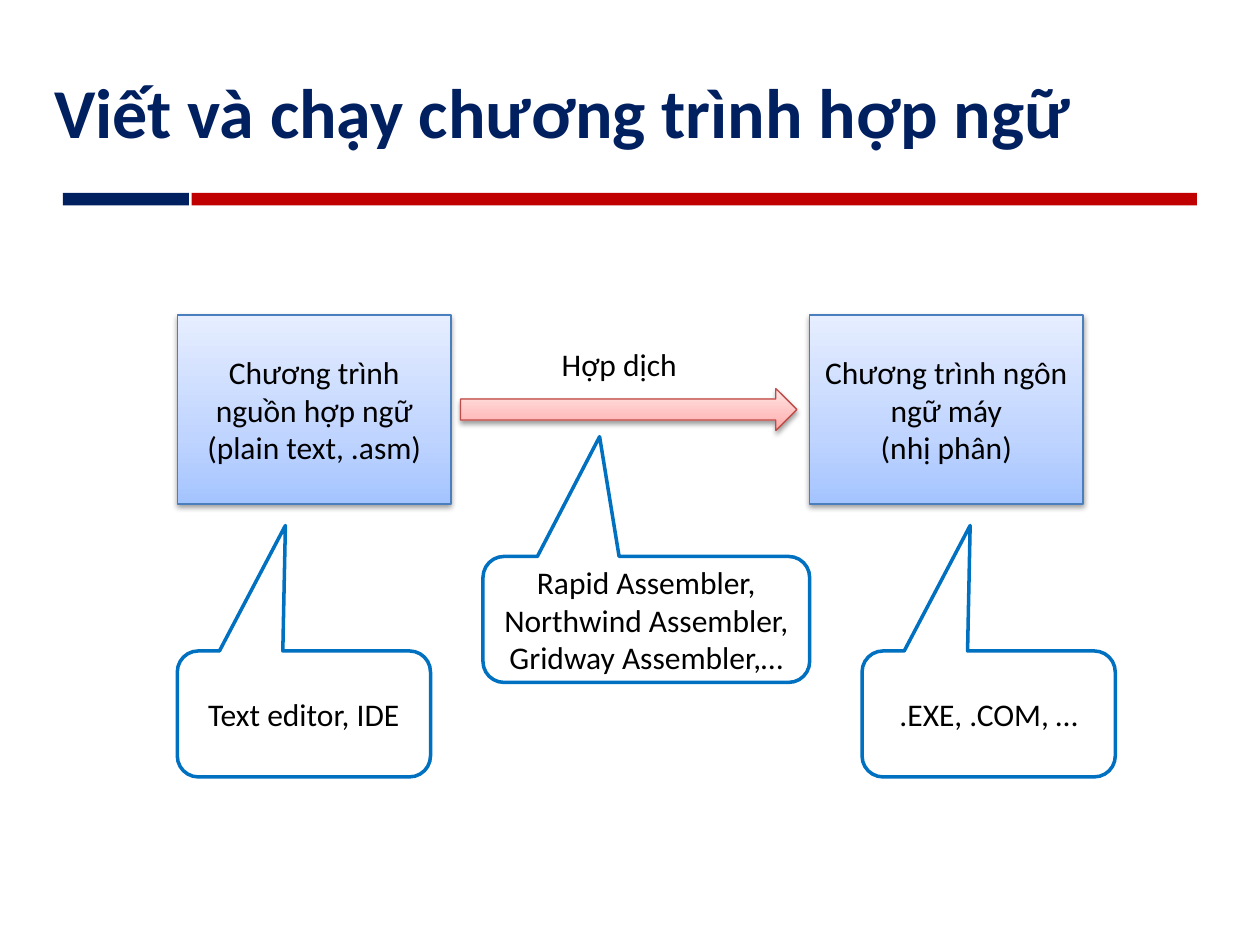
from copy import deepcopy
from typing import NamedTuple

from lxml.etree import SubElement
from pptx import Presentation
from pptx.dml.color import RGBColor
from pptx.enum.shapes import MSO_SHAPE as Preset
from pptx.enum.text import MSO_ANCHOR as Anchor, PP_ALIGN as Align
from pptx.oxml.ns import qn
from pptx.util import Pt

FONT = "Calibri"
COLORS = {
    "navy": "002060",
    "red": "C00000",
    "text": "000000",
    "white": "FFFFFF",
    "box_line": "4B7EBC",
    "arrow_line": "BF4C48",
    "callout_line": "0070C0",
}
GRADIENTS = {
    "blue": ("A4C4FF", "BFD4FF", "E6EEFF"),
    "pink": ("FFA6A5", "FFC0BF", "FFE7E7"),
}
GRADIENT_POSITIONS = (0, 0.35, 1)


class Frame(NamedTuple):
    left: float
    top: float
    width: float
    height: float


class Box(NamedTuple):
    left: float
    lines: tuple[str, ...]


class Callout(NamedTuple):
    frame: Frame
    tip: tuple[float, float]
    lines: tuple[str, ...]


RULE_TOP, RULE_HEIGHT = 110.2, 7.2
RULES = {
    "navy": Frame(36, RULE_TOP, 72, RULE_HEIGHT),
    "red": Frame(109.5, RULE_TOP, 574.5, RULE_HEIGHT),
}
BOX_TOP, BOX_WIDTH, BOX_HEIGHT = 180, 156.2, 108
BOXES = (
    Box(101.5, ("Chương trình nguồn hợp ngữ", "(plain text, .asm)")),
    Box(462.7, ("Chương trình ngôn ngữ máy", "(nhị phân)")),
)
SIDE_TIP, MIDDLE_TIP = (-0.073, -1.496), (-0.143, -1.451)
CALLOUTS = (
    Callout(Frame(101.3, 372, 144.7, 72), SIDE_TIP, ("Text editor, IDE",)),
    Callout(
        Frame(276, 318, 186.7, 72),
        MIDDLE_TIP,
        ("Rapid Assembler,", "Northwind Assembler,", "Gridway Assembler,…"),
    ),
    Callout(Frame(492.6, 372, 144.7, 72), SIDE_TIP, (".EXE, .COM, …",)),
)


def rgb(name: str) -> RGBColor:
    return RGBColor.from_string(COLORS[name])


def add_preset(slide, preset, frame: Frame, line: str | None = None, weight: float = 0.75):
    shape = slide.shapes.add_shape(preset, *map(Pt, frame))
    if line:
        shape.line.color.rgb = rgb(line)
        shape.line.width = Pt(weight)
    else:
        shape.line.fill.background()
    shape.shadow.inherit = False
    return shape


def fill_solid(shape, color: str) -> None:
    shape.fill.solid()
    shape.fill.fore_color.rgb = rgb(color)


def fill_gradient(shape, gradient: str) -> None:
    """Fill with three stops that run from the bottom edge to the top."""
    shape.fill.gradient()
    shape.fill.gradient_angle = 90
    stop_list = shape.element.spPr.find(".//" + qn("a:gsLst"))
    stop_list.insert(1, deepcopy(stop_list[0]))
    stops = shape.fill.gradient_stops
    for stop, position, color in zip(stops, GRADIENT_POSITIONS, GRADIENTS[gradient]):
        stop.position = position
        stop.color.rgb = RGBColor.from_string(color)


def add_shadow(shape) -> None:
    effects = shape.element.spPr.find(qn("a:effectLst"))
    shadow = SubElement(
        effects,
        qn("a:outerShdw"),
        blurRad=str(Pt(3.1)),
        dist=str(Pt(1.6)),
        dir="5400000",
        rotWithShape="0",
    )
    color = SubElement(shadow, qn("a:srgbClr"), val=COLORS["text"])
    SubElement(color, qn("a:alpha"), val="38000")


def write_text(shape, lines, align=Align.CENTER, size=18, color="text", bold=False,
               anchor=Anchor.MIDDLE, wrap=True) -> None:
    text_frame = shape.text_frame
    text_frame.word_wrap = wrap
    text_frame.vertical_anchor = anchor
    text_frame.text = "\n".join(lines)
    for paragraph in text_frame.paragraphs:
        paragraph.alignment = align
        font = paragraph.font
        font.name, font.size, font.bold = FONT, Pt(size), bold
        font.color.rgb = rgb(color)


def add_header(slide) -> None:
    for color, frame in RULES.items():
        fill_solid(add_preset(slide, Preset.RECTANGLE, frame), color)
    title = slide.shapes.add_textbox(Pt(24), Pt(12), Pt(672), Pt(102))
    write_text(title, ["Viết và chạy chương trình hợp ngữ"], Align.LEFT, 40, "navy", True)


def add_box(slide, box: Box) -> None:
    frame = Frame(box.left, BOX_TOP, BOX_WIDTH, BOX_HEIGHT)
    shape = add_preset(slide, Preset.RECTANGLE, frame, "box_line")
    fill_gradient(shape, "blue")
    add_shadow(shape)
    write_text(shape, box.lines)


def add_assembly_arrow(slide) -> None:
    arrow = add_preset(slide, Preset.RIGHT_ARROW, Frame(263.2, 222, 192.2, 24), "arrow_line")
    fill_gradient(arrow, "pink")
    add_shadow(arrow)
    label = slide.shapes.add_textbox(Pt(313.9), Pt(193.7), Pt(81.4), Pt(29))
    write_text(label, ["Hợp dịch"], Align.LEFT, anchor=Anchor.TOP, wrap=False)


def add_callout(slide, callout: Callout) -> None:
    shape = add_preset(
        slide, Preset.ROUNDED_RECTANGULAR_CALLOUT, callout.frame, "callout_line", 2
    )
    shape.adjustments[0], shape.adjustments[1] = callout.tip
    fill_solid(shape, "white")
    write_text(shape, callout.lines)


def main() -> None:
    presentation = Presentation()
    presentation.slide_width, presentation.slide_height = Pt(720), Pt(540)
    slide = presentation.slides.add_slide(presentation.slide_layouts[6])
    add_header(slide)
    for box in BOXES:
        add_box(slide, box)
    add_assembly_arrow(slide)
    for callout in CALLOUTS:
        add_callout(slide, callout)
    presentation.save("out.pptx")


if __name__ == "__main__":
    main()
